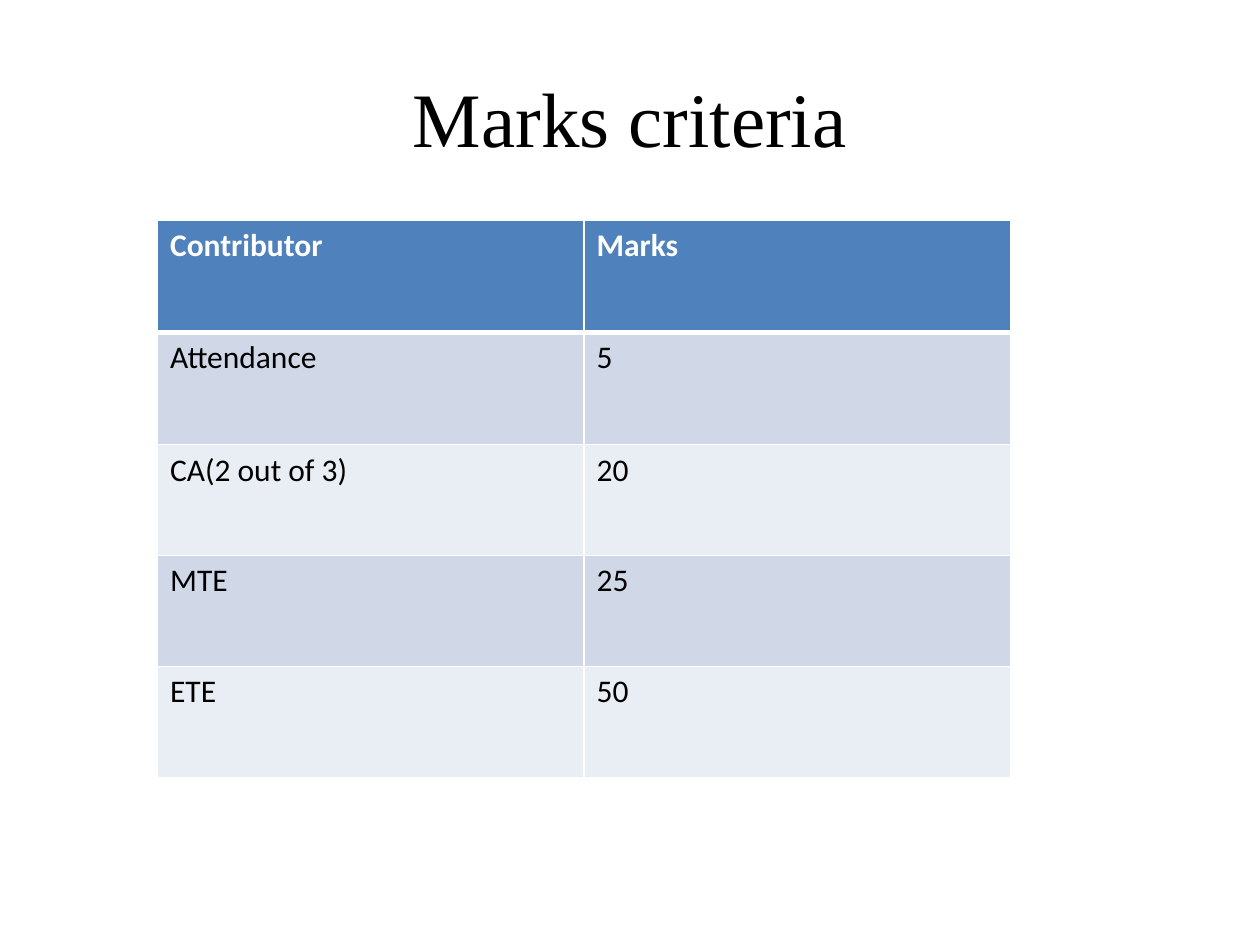
from lxml import etree
from pptx import Presentation
from pptx.dml.color import RGBColor
from pptx.enum.text import MSO_ANCHOR, PP_ALIGN
from pptx.oxml.ns import qn
from pptx.util import Pt

EMU_PER_PX = 9144
CENTER = PP_ALIGN.CENTER
LEFT = PP_ALIGN.LEFT
MIDDLE = MSO_ANCHOR.MIDDLE
TITLE_ONLY = 5

COLORS = {
    "text": "000000",
    "header": "4F81BD",
    "header_text": "FFFFFF",
    "odd_row": "D0D8E8",
    "even_row": "E9EDF4",
    "border": "FFFFFF",
}
MARKS = [
    ("Contributor", "Marks"),
    ("Attendance", "5"),
    ("CA(2 out of 3)", "20"),
    ("MTE", "25"),
    ("ETE", "50"),
]
ROW_HEIGHTS = [89, 89, 88, 88, 88]


def px(length):
    return length * EMU_PER_PX


def rgb(name):
    return RGBColor.from_string(COLORS[name])


def add_span(para, text, font, size, color, bold=False):
    span = para.add_run()
    span.text = text
    span.font.name = font
    span.font.size = Pt(size)
    span.font.bold = bold
    span.font.color.rgb = rgb(color)


def set_borders(cell, widths):
    properties = cell._tc.get_or_add_tcPr()
    for position, (side, width) in enumerate(widths.items()):
        line = etree.Element(qn(f"a:{side}"), w=str(Pt(width)))
        fill = etree.SubElement(line, qn("a:solidFill"))
        etree.SubElement(fill, qn("a:srgbClr"), val=COLORS["border"])
        properties.insert(position, line)


def add_title(page, box):
    title = page.shapes.title
    title.left, title.top, title.width, title.height = map(px, box)
    frame = title.text_frame
    frame.vertical_anchor = MIDDLE
    para = frame.paragraphs[0]
    para.alignment = CENTER
    add_span(para, "Marks criteria", "Times New Roman", 44, "text")


def add_marks_table(page, box):
    left, top, width, height = map(px, box)
    table = page.shapes.add_table(
        len(MARKS), len(MARKS[0]), left, top, width, height
    ).table
    for row, row_height in zip(table.rows, ROW_HEIGHTS):
        row.height = px(row_height)
    for row_index, values in enumerate(MARKS):
        is_header = row_index == 0
        band = "odd_row" if row_index % 2 else "even_row"
        for column_index, value in enumerate(values):
            cell = table.cell(row_index, column_index)
            cell.fill.solid()
            cell.fill.fore_color.rgb = rgb("header" if is_header else band)
            set_borders(cell, {
                "lnL": 1,
                "lnR": 1,
                "lnT": 3 if row_index == 1 else 1,
                "lnB": 3 if is_header else 1,
            })
            para = cell.text_frame.paragraphs[0]
            para.alignment = LEFT
            color = "header_text" if is_header else "text"
            add_span(para, value, "Calibri", 18, color, is_header)


def main():
    deck = Presentation()
    deck.slide_width = px(1000)
    deck.slide_height = px(750)
    page = deck.slides.add_slide(deck.slide_layouts[TITLE_ONLY])
    add_title(page, (50, 30, 900, 125))
    add_marks_table(page, (125, 175, 677, sum(ROW_HEIGHTS)))
    deck.save("out.pptx")


if __name__ == "__main__":
    main()
